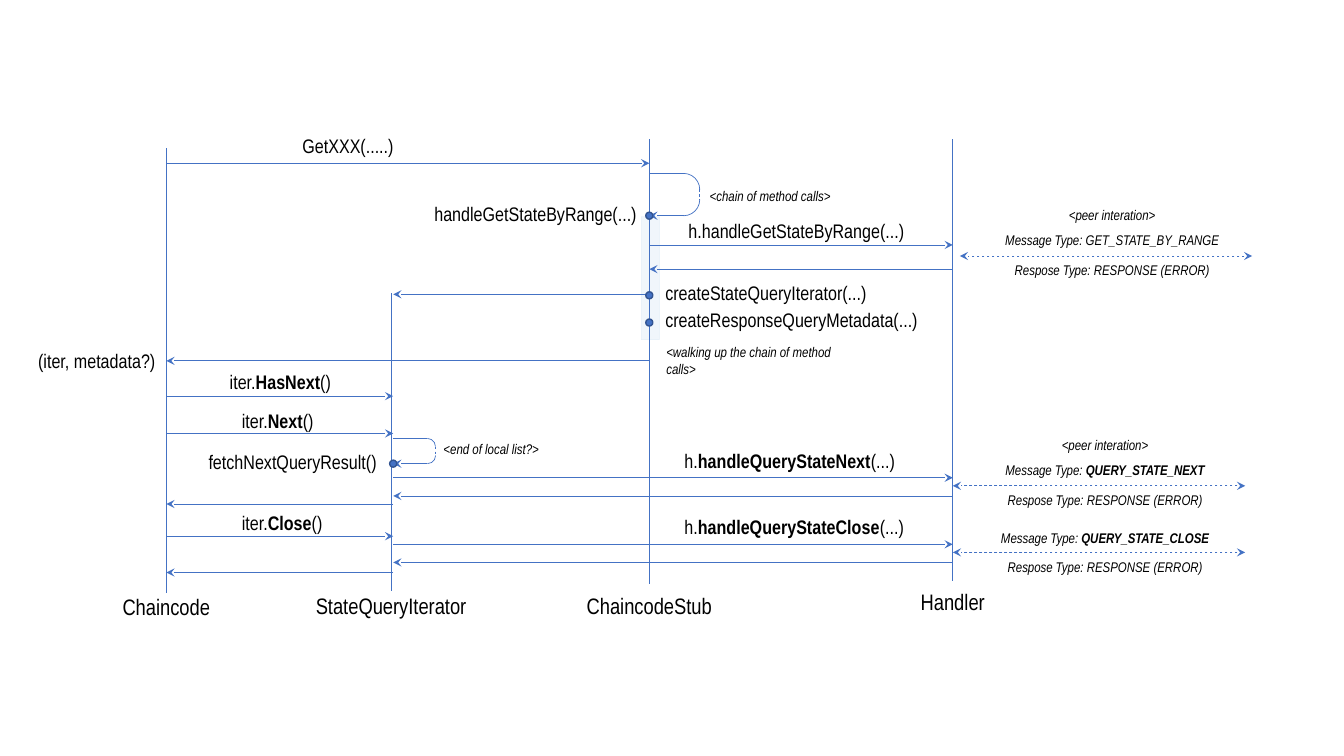
from dataclasses import dataclass

from lxml.etree import SubElement
from pptx import Presentation
from pptx.dml.color import RGBColor
from pptx.enum.dml import MSO_LINE
from pptx.enum.shapes import MSO_CONNECTOR, MSO_SHAPE
from pptx.enum.text import MSO_ANCHOR, MSO_AUTO_SIZE, PP_ALIGN
from pptx.oxml.ns import qn
from pptx.util import Inches, Pt


@dataclass(frozen=True)
class Theme:
    """Colours, type sizes and line widths of the slide."""
    font: str = "Arial Narrow"
    ink: RGBColor = RGBColor(0x00, 0x00, 0x00)
    line: RGBColor = RGBColor(0x44, 0x72, 0xC4)
    dot_edge: RGBColor = RGBColor(0x32, 0x54, 0x91)
    bar: RGBColor = RGBColor(0xDE, 0xEB, 0xF7)
    bar_edge: RGBColor = RGBColor(0xBD, 0xD7, 0xEE)
    caption: int = 16
    call: int = 14
    note: int = 10
    hairline: float = 0.5


@dataclass(frozen=True)
class Box:
    """A region of the slide in inches."""
    left: float
    top: float
    width: float
    height: float

    @property
    def right(self):
        """Return the right edge."""
        return self.left + self.width

    @property
    def bottom(self):
        """Return the bottom edge."""
        return self.top + self.height

    def inner(self, left, top, width, height):
        """Return a box placed relative to this one."""
        return Box(self.left + left, self.top + top, width, height)

    def lengths(self):
        """Return the four lengths for a new shape."""
        return [Inches(value) for value in (self.left, self.top, self.width, self.height)]


THEME = Theme()
DIAGRAM = Box(1.65, 1.38, 7.8, 4.5)
LANES = {"code": 0, "iterator": 2.23, "bar": 2.25, "stub": 4.79, "handler": 7.8}
LIFELINES = [
    ("code", 0.09, 4.5, 4.46, "Chaincode"),
    ("stub", 0, 4.41, 4.45, "ChaincodeStub"),
    ("handler", 0, 4.38, 4.41, "Handler"),
    ("iterator", 1.53, 4.48, 4.45, "StateQueryIterator"),
]
MESSAGES = [
    ("code", "stub", 0.24), ("stub", "handler", 1.05), ("handler", "stub", 1.29),
    ("stub", "bar", 1.54), ("stub", "code", 2.2), ("code", "bar", 2.55),
    ("code", "bar", 2.92), ("bar", "handler", 3.36), ("handler", "bar", 3.54),
    ("bar", "code", 3.62), ("code", "bar", 3.94), ("bar", "handler", 4.02),
    ("handler", "bar", 4.2), ("bar", "code", 4.3),
]
CALLS = [
    (1.25, -0.1, 1.12, "GetXXX(.....)"),
    (2.56, 0.57, 2.23, "handleGetStateByRange(...)"),
    (5.08, 0.74, 2.36, "h.handleGetStateByRange(...)"),
    (4.85, 1.36, 2.22, "createStateQueryIterator(...)"),
    (4.85, 1.63, 2.73, "createResponseQueryMetadata(...)"),
    (-1.37, 2.03, 1.38, "(iter, metadata?)"),
    (0.53, 2.24, 1.22, "iter.*HasNext*()"),
    (0.65, 2.63, 0.92, "iter.*Next*()"),
    (0.32, 3.03, 1.93, "fetchNextQueryResult()"),
    (5.04, 3.02, 2.31, "h.*handleQueryStateNext*(...)"),
    (0.65, 3.64, 1.01, "iter.*Close*()"),
    (5.04, 3.68, 2.4, "h.*handleQueryStateClose*(...)"),
]
NOTES = [
    (5.29, 0.43, 1.41, "<chain of method calls>"),
    (4.86, 1.98, 2.15, "<walking up the chain of method calls>"),
    (2.65, 2.94, 1.41, "<end of local list?>"),
]
SELF_CALLS = [("stub", 0.34, 0.5, 0.42, 0.32), ("bar", 2.97, 0.42, 0.25, 0.16)]
PEER_TITLE = "<peer interation>"
PEER_REPLY = "Respose Type: RESPONSE (ERROR)"
PEERS = [
    (Box(9.52, 2, 2.9, 0.82), [PEER_TITLE, "Message Type: GET_STATE_BY_RANGE", PEER_REPLY]),
    (Box(9.45, 4.28, 2.9, 0.82), [PEER_TITLE, "Message Type: *QUERY_STATE_NEXT*", PEER_REPLY]),
    (Box(9.45, 5.2, 2.9, 0.56), ["Message Type: *QUERY_STATE_CLOSE*", PEER_REPLY]),
]


def apply(target, values):
    """Set every format value on the target."""
    for name, value in values.items():
        setattr(target, name, value)


def add_line(page, start, end, arrows=(), dash=None):
    """Draw a thin line with arrowheads at the named ends."""
    line = page.shapes.add_connector(
        MSO_CONNECTOR.STRAIGHT, *[Inches(value) for value in (*start, *end)])
    line.line.color.rgb = THEME.line
    apply(line.line, {"width": Pt(THEME.hairline), "dash_style": dash})
    for arrow in arrows:
        SubElement(line.line._get_or_add_ln(), qn(f"a:{arrow}"), type="stealth")
    SubElement(line._element.spPr, qn("a:effectLst"))


def add_shape(page, kind, box, edge, width, fill=None):
    """Draw a preset shape without a shadow."""
    shape = page.shapes.add_shape(kind, *box.lengths())
    shape.shadow.inherit = False
    shape.line.color.rgb = edge
    shape.line.width = Pt(width)
    if fill is None:
        shape.fill.background()
    else:
        shape.fill.solid()
        shape.fill.fore_color.rgb = fill
    return shape


def add_text(page, box, lines, size, wrap=False, align=PP_ALIGN.LEFT, italic=False, spaced=False):
    """Write lines of text, with the parts between asterisks in bold."""
    frame = page.shapes.add_textbox(*box.lengths()).text_frame
    apply(frame, {"word_wrap": wrap, "auto_size": MSO_AUTO_SIZE.SHAPE_TO_FIT_TEXT,
                  "vertical_anchor": MSO_ANCHOR.TOP})
    for index, line in enumerate(lines):
        para = frame.add_paragraph() if index else frame.paragraphs[0]
        para.alignment = align
        if spaced:
            after = 0 if line == PEER_TITLE else 3
            apply(para, {"space_before": Pt(6), "space_after": Pt(after)})
        for part, words in enumerate(line.split("*")):
            span = para.add_run()
            span.text = words
            apply(span.font, {"name": THEME.font, "size": Pt(size),
                              "bold": part % 2 == 1, "italic": italic})
            span.font.color.rgb = THEME.ink


def add_dot(page, x, y):
    """Mark a point on a lifeline."""
    size = 0.07
    add_shape(page, MSO_SHAPE.OVAL, Box(x - size / 2, y - size / 2, size, size),
              THEME.dot_edge, 1, THEME.line)


def add_activation(page, box):
    """Draw the translucent bar behind a lifeline."""
    bar = add_shape(page, MSO_SHAPE.RECTANGLE, box, THEME.bar_edge, 0.25, THEME.bar)
    for paint, alpha in ((bar.fill, 43000), (bar.line.fill, 33000)):
        color = paint._xPr.find(qn("a:solidFill"))[0]
        SubElement(color, qn("a:alpha"), val=str(alpha))


def add_self_call(page, box, curve):
    """Draw a rounded loop that returns to its lifeline."""
    bend = box.right - curve / 2
    add_line(page, (box.left, box.top), (bend, box.top))
    add_line(page, (bend, box.bottom), (box.left, box.bottom), ["tailEnd"])
    add_line(page, (box.right, box.top + curve / 2), (box.right, box.bottom - curve / 2),
             dash=MSO_LINE.DASH)
    for top, turn in ((box.top, 0), (box.bottom - curve, 90)):
        corner = Box(box.right - curve, top, curve, curve)
        add_shape(page, MSO_SHAPE.ARC, corner, THEME.line, THEME.hairline).rotation = turn
    add_dot(page, box.left, box.bottom)


def add_peer_exchange(page, box, lines):
    """Draw a dashed two-way arrow with its message types."""
    level = box.bottom - 0.28
    add_line(page, (box.right, level), (box.left, level), ["headEnd", "tailEnd"], MSO_LINE.DASH)
    add_text(page, box.inner(0.31, 0, 2.4, box.height), lines, THEME.note, wrap=True,
             align=PP_ALIGN.CENTER, italic=True, spaced=True)


def add_sequence(page, box):
    """Draw the lifelines, messages and labels of the sequence."""
    lanes = {name: box.left + offset for name, offset in LANES.items()}
    add_activation(page, box.inner(LANES["stub"] - 0.08, 0.77, 0.18, 1.22))
    for lane, top, bottom, caption, name in LIFELINES:
        x = lanes[lane]
        add_line(page, (x, box.top + top), (x, box.top + bottom))
        add_text(page, Box(x - 0.85, box.top + caption, 1.7, 0.37), [name], THEME.caption,
                 align=PP_ALIGN.CENTER)
    for source, target, y in MESSAGES:
        level = box.top + y
        add_line(page, (lanes[source], level), (lanes[target], level), ["tailEnd"])
    for lane, top, width, height, curve in SELF_CALLS:
        add_self_call(page, box.inner(LANES[lane], top, width, height), curve)
    for y in (1.55, 1.82):
        add_dot(page, lanes["stub"], box.top + y)
    for left, top, width, words in CALLS:
        add_text(page, box.inner(left, top, width, 0.34), [words], THEME.call)
    for left, top, width, words in NOTES:
        add_text(page, box.inner(left, top, width, 0.27), [words], THEME.note,
                 wrap=True, italic=True)


def main():
    """Build the slide and save the deck."""
    deck = Presentation()
    apply(deck, {"slide_width": Inches(13.33), "slide_height": Inches(7.5)})
    page = deck.slides.add_slide(deck.slide_layouts[6])
    add_sequence(page, DIAGRAM)
    for box, lines in PEERS:
        add_peer_exchange(page, box, lines)
    deck.save("out.pptx")


if __name__ == "__main__":
    main()
